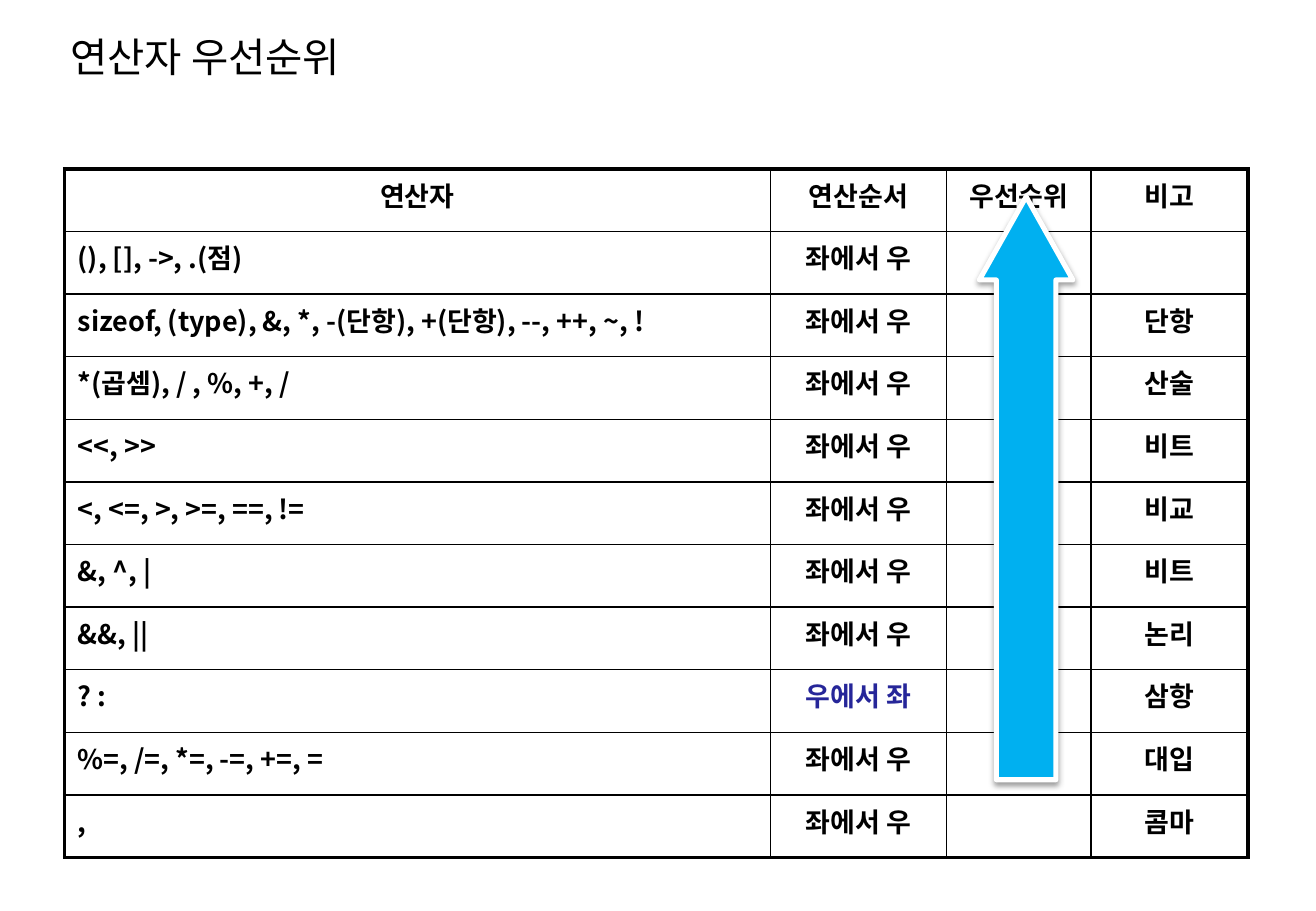
from lxml import etree
from pptx import Presentation
from pptx import util as u
from pptx.dml.color import RGBColor
from pptx.enum import shapes, text
from pptx.oxml import ns

FONT = "Noto Sans CJK KR"
BLACK, WHITE, SKY, NAVY = "000000", "FFFFFF", "00B0F0", "262699"
LEFT_TO_RIGHT, RIGHT_TO_LEFT = "좌에서 우", "우에서 좌"
HEADER = ("연산자", "연산순서", "우선순위", "비고")
OPERATORS = (
    ("(), [], ->, .(점)", ""),
    ("sizeof, (type), &, *, -(단항), +(단항), --, ++, ~, !", "단항"),
    ("*(곱셈), / , %, +, /", "산술"),
    ("<<, >>", "비트"),
    ("<, <=, >, >=, ==, !=", "비교"),
    ("&, ^, |", "비트"),
    ("&&, ||", "논리"),
    ("? :", "삼항"),
    ("%=, /=, *=, -=, +=, =", "대입"),
    (",", "콤마"),
)
COL_WIDTHS = (5.81, 1.45, 1.19, 1.29)
TABLE_HEIGHT = 5.67


def rgb(value):
    """Turn a hex string into a colour."""
    return RGBColor.from_string(value)


def apply(obj, values):
    """Set every attribute named in a dict."""
    for name, value in values.items():
        setattr(obj, name, value)


def sub(parent, tag, **attrs):
    """Append a DrawingML element to a parent."""
    return etree.SubElement(parent, ns.qn(tag), attrs)


def write(tf, content, size, color=BLACK, bold=False, align=text.PP_ALIGN.LEFT):
    """Put one formatted line into a text frame."""
    p = tf.paragraphs[0]
    p.alignment = align
    r = p.add_run()
    r.text = content
    apply(r.font, {"name": FONT, "size": u.Pt(size), "bold": bold})
    r.font.color.rgb = rgb(color)
    sub(r.font._element, "a:ea", typeface=FONT)


def add_title(slide, content):
    """Add the slide title."""
    sp = slide.shapes.add_textbox(*map(u.Inches, (0.48, 0.08, 4.31, 0.76)))
    apply(sp.text_frame, {"word_wrap": True, "vertical_anchor": text.MSO_ANCHOR.MIDDLE})
    write(sp.text_frame, content, 24)


def set_borders(cell, widths):
    """Draw the four sides of a cell, given left, right, top and bottom widths."""
    tc_pr = cell._tc.get_or_add_tcPr()
    for i, (side, width) in enumerate(zip("LRTB", widths)):
        ln = etree.Element(ns.qn("a:ln" + side), w=str(u.Pt(width)))
        sub(sub(ln, "a:solidFill"), "a:srgbClr", val=BLACK)
        tc_pr.insert(i, ln)


def add_table(slide, rows):
    """Add the operator table with a thick outer frame."""
    n_rows, n_cols = len(rows), len(COL_WIDTHS)
    box = map(u.Inches, (0.53, 1.39, sum(COL_WIDTHS), TABLE_HEIGHT))
    table = slide.shapes.add_table(n_rows, n_cols, *box).table
    apply(table, {"first_row": False, "horz_banding": False})
    for column, width in zip(table.columns, COL_WIDTHS):
        column.width = u.Inches(width)
    for i, row in enumerate(rows):
        table.rows[i].height = u.Inches(TABLE_HEIGHT / n_rows)
        for j, content in enumerate(row):
            cell = table.cell(i, j)
            apply(cell, {"margin_left": u.Inches(0.11), "margin_right": u.Inches(0.11),
                         "margin_top": u.Inches(0.05), "margin_bottom": u.Inches(0.05)})
            cell.fill.solid()
            cell.fill.fore_color.rgb = rgb(WHITE)
            edges = (j == 0, j == n_cols - 1, i == 0, i == n_rows - 1)
            set_borders(cell, [2.25 if outer else 1 for outer in edges])
            if content:
                color = NAVY if content == RIGHT_TO_LEFT else BLACK
                left = i > 0 and j == 0
                align = text.PP_ALIGN.LEFT if left else text.PP_ALIGN.CENTER
                write(cell.text_frame, content, 16, color, True, align)


def add_priority_arrow(slide):
    """Add the upward priority arrow with a soft shadow."""
    box = map(u.Inches, (8.06, 1.62, 0.77, 4.8))
    sp = slide.shapes.add_shape(shapes.MSO_SHAPE.UP_ARROW, *box)
    sp.adjustments[0], sp.adjustments[1] = 0.637, 0.89
    sp.fill.solid()
    sp.fill.fore_color.rgb = rgb(SKY)
    sp.line.color.rgb = rgb(WHITE)
    sp.line.width = u.Pt(3)
    sp.shadow.inherit = False
    effects = sp._element.spPr.find(ns.qn("a:effectLst"))
    shadow = sub(effects, "a:outerShdw", blurRad=str(u.Pt(3.1)), dist=str(u.Pt(1.6)),
                 dir="5400000", rotWithShape="0")
    sub(sub(shadow, "a:srgbClr", val=BLACK), "a:alpha", val="38000")


def main():
    """Build the operator precedence slide."""
    prs = Presentation()
    apply(prs, {"slide_width": u.Inches(10.83), "slide_height": u.Inches(7.5)})
    slide = prs.slides.add_slide(prs.slide_layouts[6])
    add_title(slide, "연산자 우선순위")
    rows = [HEADER]
    for operators, note in OPERATORS:
        order = RIGHT_TO_LEFT if operators == "? :" else LEFT_TO_RIGHT
        rows.append((operators, order, "", note))
    add_table(slide, rows)
    add_priority_arrow(slide)
    prs.save("out.pptx")


if __name__ == "__main__":
    main()
